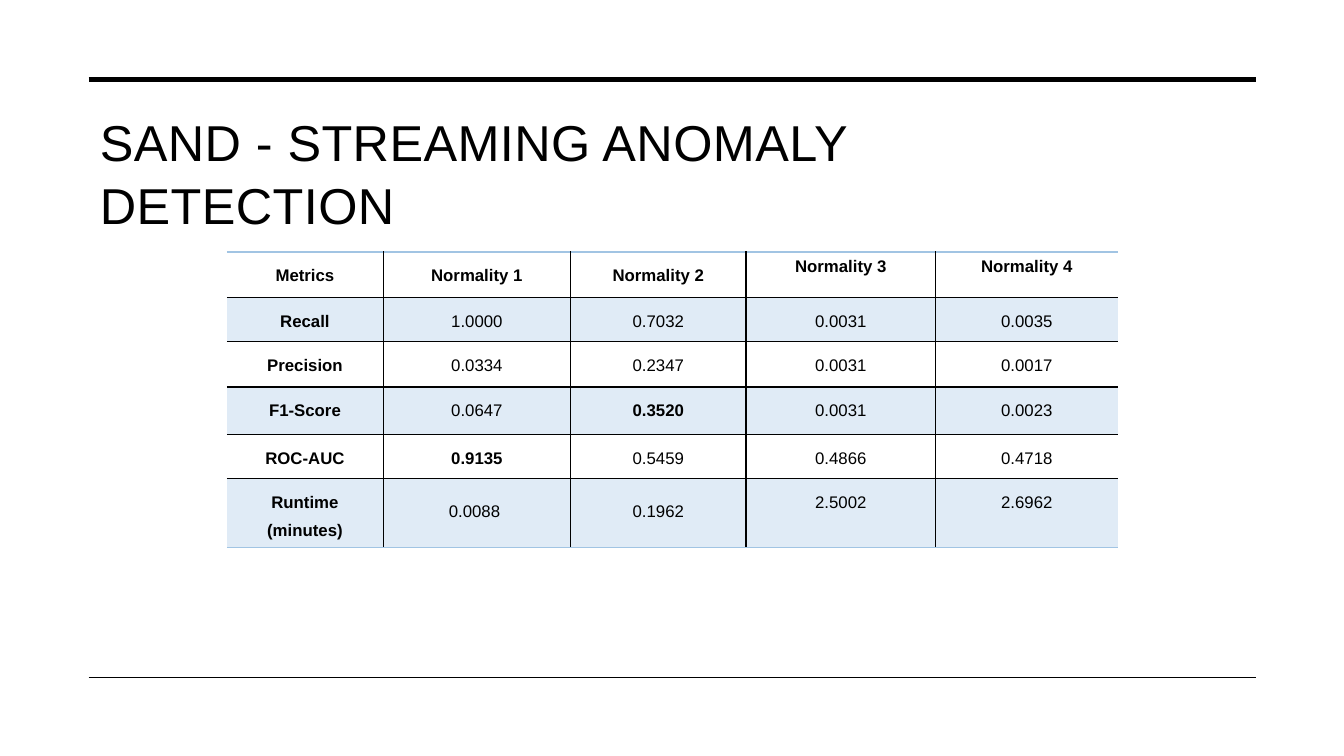
from lxml.etree import SubElement
from pptx import Presentation
from pptx.dml.color import RGBColor
from pptx.enum.shapes import MSO_CONNECTOR
from pptx.enum.text import MSO_ANCHOR, MSO_AUTO_SIZE, PP_ALIGN
from pptx.oxml.ns import qn
from pptx.util import Inches, Pt

FONT = "Arial"
BLACK, BAND, EDGE = "000000", "E0EBF6", "A1C4E3"
RULE_LEFT, RULE_RIGHT = 0.88, 12.46
COLUMN_WIDTHS = [1.55, 1.86, 1.74, 1.88, 1.81]
ROW_HEIGHTS = [0.45, 0.44, 0.45, 0.47, 0.44, 0.68]
RESULTS = [
    ["Metrics", "Normality 1", "Normality 2", "Normality 3", "Normality 4"],
    ["Recall", "1.0000", "0.7032", "0.0031", "0.0035"],
    ["Precision", "0.0334", "0.2347", "0.0031", "0.0017"],
    ["F1-Score", "0.0647", "0.3520", "0.0031", "0.0023"],
    ["ROC-AUC", "0.9135", "0.5459", "0.4866", "0.4718"],
    ["Runtime\n(minutes)", "0.0088 ", "0.1962", "2.5002", "2.6962"],
]
BEST_SCORES = {(3, 2), (4, 1)}
LINE_SPACINGS = {(0, 3): 1.0, (0, 4): 1.0, (5, 1): 2.0, (5, 2): 2.0}


def color(hex_code):
    """Turn a hex string into a colour."""
    return RGBColor.from_string(hex_code)


def add_run(paragraph, text, size, bold=False):
    """Add one formatted run and return it."""
    run = paragraph.add_run()
    run.text = text
    run.font.name = FONT
    run.font.size = Pt(size)
    run.font.bold = bold
    run.font.color.rgb = color(BLACK)
    return run


def add_rule(slide, y, weight):
    """Draw a horizontal rule between the slide margins."""
    rule = slide.shapes.add_connector(
        MSO_CONNECTOR.STRAIGHT,
        Inches(RULE_LEFT), Inches(y), Inches(RULE_RIGHT), Inches(y))
    rule.line.color.rgb = color(BLACK)
    rule.line.width = Pt(weight)
    SubElement(rule._element.spPr, qn("a:effectLst"))


def set_title(slide, text):
    """Place and fill the title placeholder."""
    title = slide.shapes.title
    title.left, title.top = Inches(0.89), Inches(1.02)
    title.width, title.height = Inches(10.59), Inches(0.74)
    frame = title.text_frame
    frame.word_wrap = True
    frame.auto_size = MSO_AUTO_SIZE.NONE
    frame.vertical_anchor = MSO_ANCHOR.TOP
    heading = frame.paragraphs[0]
    heading.alignment = PP_ALIGN.LEFT
    heading.line_spacing = 1.05
    run = add_run(heading, text, 36)
    run.font._element.set("spc", "30")


def set_border(cell, side, hex_code):
    """Give one cell side a thin line, or none when there is no colour."""
    border = SubElement(cell._tc.get_or_add_tcPr(), qn(f"a:ln{side}"), w=str(Pt(1)))
    if hex_code is None:
        SubElement(border, qn("a:noFill"))
    else:
        fill = SubElement(border, qn("a:solidFill"))
        SubElement(fill, qn("a:srgbClr"), val=hex_code)


def fill_cell(cell, row, column):
    """Write and format the cell at a row and column of the results."""
    last_row, last_column = len(ROW_HEIGHTS) - 1, len(COLUMN_WIDTHS) - 1
    set_border(cell, "L", BLACK if column > 0 else None)
    set_border(cell, "R", BLACK if column < last_column else None)
    set_border(cell, "T", BLACK if row > 0 else EDGE)
    set_border(cell, "B", BLACK if row < last_row else EDGE)
    if row % 2:
        cell.fill.solid()
        cell.fill.fore_color.rgb = color(BAND)
    else:
        cell.fill.background()
    cell.vertical_anchor = MSO_ANCHOR.TOP
    bold = row == 0 or column == 0 or (row, column) in BEST_SCORES
    frame = cell.text_frame
    for index, text in enumerate(RESULTS[row][column].split("\n")):
        paragraph = frame.add_paragraph() if index else frame.paragraphs[0]
        paragraph.alignment = PP_ALIGN.CENTER
        paragraph.line_spacing = LINE_SPACINGS.get((row, column), 1.5)
        add_run(paragraph, text, 12, bold)


def add_results(slide):
    """Add the table of metrics."""
    results = slide.shapes.add_table(
        len(ROW_HEIGHTS), len(COLUMN_WIDTHS), Inches(2.25), Inches(2.5),
        Inches(sum(COLUMN_WIDTHS)), Inches(sum(ROW_HEIGHTS))).table
    results.first_row = False
    results.horz_banding = False
    for column, width in enumerate(COLUMN_WIDTHS):
        results.columns[column].width = Inches(width)
    for row, height in enumerate(ROW_HEIGHTS):
        results.rows[row].height = Inches(height)
        for column in range(len(COLUMN_WIDTHS)):
            fill_cell(results.cell(row, column), row, column)


def main():
    """Build and save the slide."""
    presentation = Presentation()
    presentation.slide_width = Inches(13.33)
    presentation.slide_height = Inches(7.5)
    slide = presentation.slides.add_slide(presentation.slide_layouts[5])
    add_rule(slide, 0.79, 3.5)
    add_rule(slide, 6.72, 1)
    set_title(slide, "SAND - STREAMING ANOMALY DETECTION")
    add_results(slide)
    presentation.save("out.pptx")


if __name__ == "__main__":
    main()
